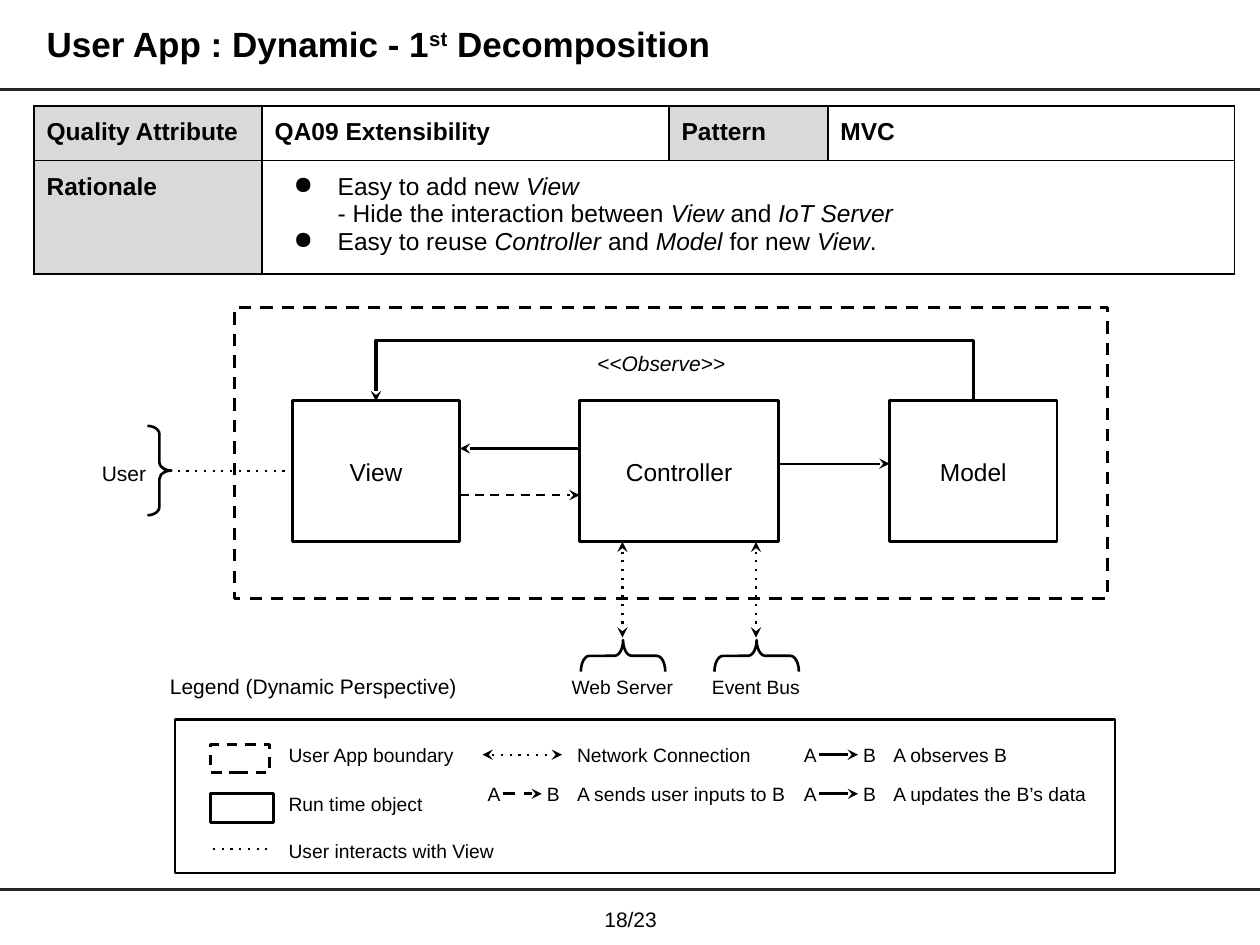
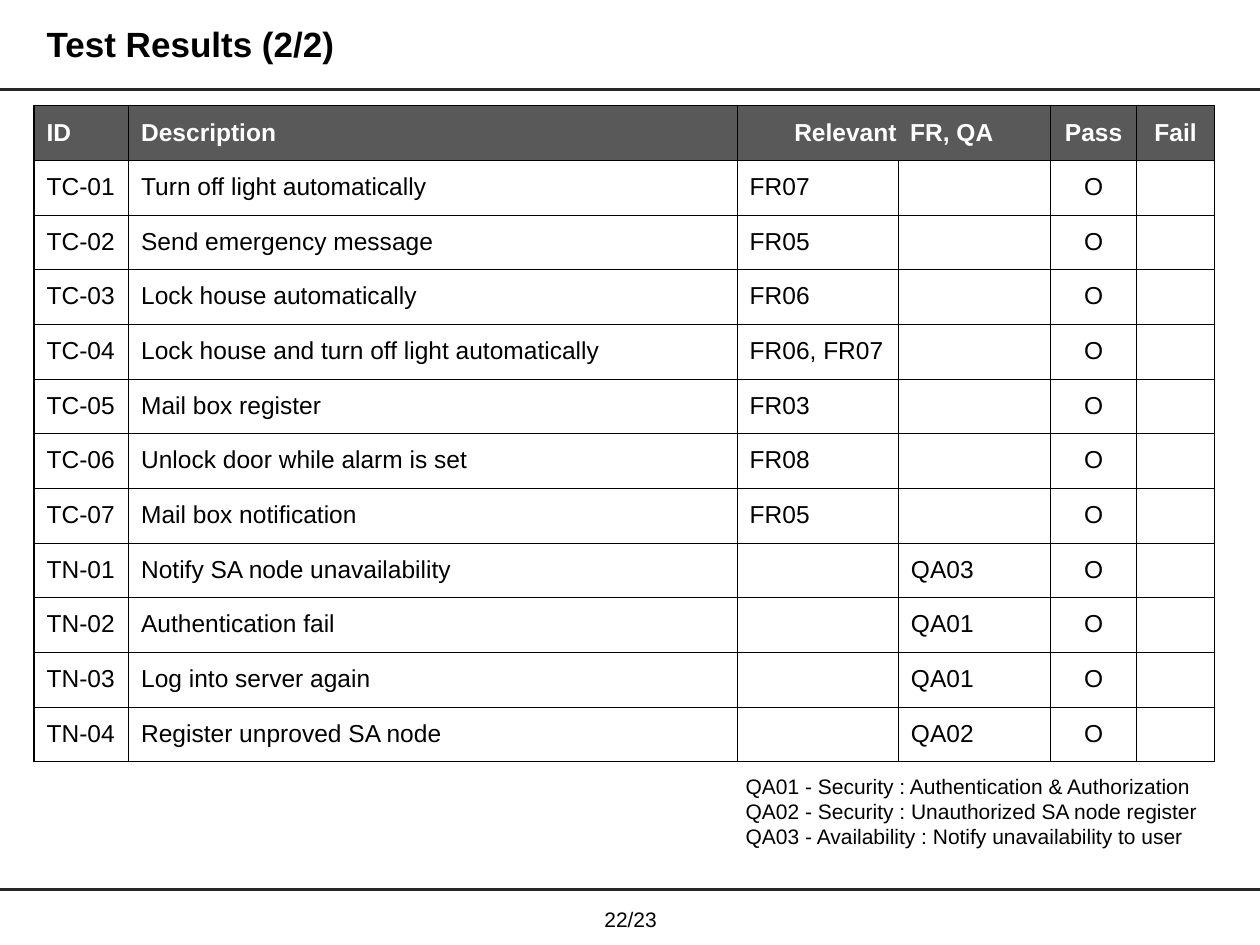
import pptx
import pptx.util
import pptx.dml.color
import pptx.enum.shapes
import pptx.enum.text
import pptx.oxml.ns
from lxml import etree

Inches = pptx.util.Inches
SHAPE = pptx.enum.shapes.MSO_SHAPE
CONNECTOR = pptx.enum.shapes.MSO_CONNECTOR
ANCHOR = pptx.enum.text.MSO_ANCHOR
ALIGN = pptx.enum.text.PP_ALIGN

COLORS = {
    "text": "000000",
    "rule": "262626",
    "paper": "FFFFFF",
    "label": "D9D9D9",
    "header": "595959",
}
FONT = "Arial"
PAGES = 23
TOP, LEFT, BOTTOM, RIGHT = range(4)


def rgb(name):
    """Return the palette colour called name."""
    return pptx.dml.color.RGBColor.from_string(COLORS[name])


def add_xml(parent, tag, **attrs):
    """Append a DrawingML child element and return it."""
    return etree.SubElement(parent, pptx.oxml.ns.qn(tag), attrs)


def style_text(tf, size, color="text", bold=False, align=ALIGN.LEFT):
    """Format every run and paragraph of a text frame."""
    for p in tf.paragraphs:
        p.alignment = align
        for r in p.runs:
            r.font.size = pptx.util.Pt(size)
            r.font.name = FONT
            r.font.bold = bold
            r.font.color.rgb = rgb(color)


def set_margins(holder, side, end):
    """Set the insets of a text frame or table cell in inches."""
    holder.margin_left = holder.margin_right = Inches(side)
    holder.margin_top = holder.margin_bottom = Inches(end)


def add_runs(p, text):
    """Write text whose *starred* parts are italic."""
    for i, part in enumerate(text.split("*")):
        if part:
            r = p.add_run()
            r.text = part
            r.font.italic = i % 2 == 1


def add_label(s, text, x, y, w, h, size=11, align=ALIGN.LEFT,
              anchor=ANCHOR.MIDDLE, margins=(0.04, 0.04)):
    """Add a text box and return it."""
    sp = s.shapes.add_textbox(Inches(x), Inches(y), Inches(w), Inches(h))
    tf = sp.text_frame
    tf.word_wrap = True
    tf.vertical_anchor = anchor
    set_margins(tf, *margins)
    tf.text = text
    style_text(tf, size, align=align)
    return sp


def style_line(line, width, color="text", dash=None, head=None, tail=None):
    """Set colour, width, dash and arrowheads of a line."""
    line.color.rgb = rgb(color)
    line.width = pptx.util.Pt(width)
    ln = line._get_or_add_ln()
    if dash:
        add_xml(ln, "a:prstDash", val=dash)
    if head:
        add_xml(ln, "a:headEnd", type=head)
    if tail:
        add_xml(ln, "a:tailEnd", type=tail)


def add_line(s, x1, y1, x2, y2, width=1.25, kind=CONNECTOR.STRAIGHT, **style):
    """Add a connector without shadow and return it."""
    c = s.shapes.add_connector(kind, Inches(x1), Inches(y1), Inches(x2), Inches(y2))
    style_line(c.line, width, **style)
    add_xml(c._element.spPr, "a:effectLst")
    return c


def add_outline(s, x, y, w, h, width=1.5, kind=SHAPE.RECTANGLE, text="",
                fill=None, dash=None):
    """Add an outlined shape with optional centred text."""
    sp = s.shapes.add_shape(kind, Inches(x), Inches(y), Inches(w), Inches(h))
    sp.shadow.inherit = False
    if fill:
        sp.fill.solid()
        sp.fill.fore_color.rgb = rgb(fill)
    else:
        sp.fill.background()
    style_line(sp.line, width, dash=dash)
    if text:
        sp.text_frame.text = text
        set_margins(sp.text_frame, 0.04, 0.04)
        style_text(sp.text_frame, 14, align=ALIGN.CENTER)
    return sp


def add_brace(s, kind, x, y, w, h, adjust):
    """Add a curly brace and return it."""
    sp = add_outline(s, x, y, w, h, kind=kind)
    sp.adjustments[0] = adjust
    return sp


def add_grid(s, x, y, widths, heights, border):
    """Add a bordered white table and return it."""
    frame = s.shapes.add_table(len(heights), len(widths), Inches(x), Inches(y),
                               Inches(sum(widths)), Inches(sum(heights)))
    table = frame.table
    table.first_row = table.horz_banding = False
    for col, w in zip(table.columns, widths):
        col.width = Inches(w)
    for row, h in zip(table.rows, heights):
        row.height = Inches(h)
    for cell in table.iter_cells():
        tcPr = cell._tc.get_or_add_tcPr()
        for side in "LRTB":
            ln = add_xml(tcPr, "a:ln" + side, w=str(pptx.util.Pt(border)))
            fill = add_xml(ln, "a:solidFill")
            add_xml(fill, "a:srgbClr", val=COLORS["text"])
        fill_cell(cell, "paper")
    return table


def fill_cell(cell, color):
    """Fill a table cell with a palette colour."""
    cell.fill.solid()
    cell.fill.fore_color.rgb = rgb(color)


def set_cell(cell, text, **style):
    """Write and format the text of a table cell."""
    cell.text = text
    set_margins(cell, 0.1, 0.1)
    style_text(cell.text_frame, 14, **style)


def new_slide(prs, title, number, superscript=None):
    """Add a slide with title, rules and page number."""
    s = prs.slides.add_slide(prs.slide_layouts[5])
    for y in (0.71, 7.06):
        add_line(s, 0, y, 10, y, width=1.75, color="rule")
    sp = s.shapes.title
    sp.left, sp.top, sp.width, sp.height = map(Inches, (0.27, 0.1, 8.52, 0.53))
    tf = sp.text_frame
    tf.vertical_anchor = ANCHOR.MIDDLE
    set_margins(tf, 0.1, 0.05)
    p = tf.paragraphs[0]
    p.line_spacing = 0.9
    before, mark, after = title.partition(superscript) if superscript else (title, "", "")
    for part in filter(None, (before, mark, after)):
        r = p.add_run()
        r.text = part
        if part == mark:
            r._r.get_or_add_rPr().set("baseline", "30000")
    style_text(tf, 20, bold=True)
    add_label(s, f"{number}/{PAGES}", 4.62, 7.14, 0.77, 0.31, size=12,
              align=ALIGN.CENTER, margins=(0.1, 0.05))
    return s


def rationale_table(s, x, y):
    """Place the quality attribute table."""
    table = add_grid(s, x, y, [1.81, 3.23, 1.26, 3.23], [0.42, 0.86], border=1)
    headings = ["Quality Attribute", "QA09 Extensibility", "Pattern", "MVC"]
    for i, text in enumerate(headings):
        set_cell(table.cell(0, i), text, bold=True)
    set_cell(table.cell(1, 0), "Rationale", bold=True)
    for row, col in ((0, 0), (0, 2), (1, 0)):
        fill_cell(table.cell(row, col), "label")

    cell = table.cell(1, 1)
    cell.merge(table.cell(1, 3))
    set_margins(cell, 0.1, 0.1)
    tf = cell.text_frame
    reasons = [
        (True, "Easy to add new *View*"),
        (False, "- Hide the interaction between *View *and *IoT Server*"),
        (True, "Easy to reuse *Controller *and *Model *for new *View*."),
    ]
    for i, (bullet, text) in enumerate(reasons):
        p = tf.add_paragraph() if i else tf.paragraphs[0]
        add_runs(p, text)
        pPr = p._p.get_or_add_pPr()
        pPr.set("marL", str(Inches(0.5)))
        pPr.set("indent", str(Inches(-0.35 if bullet else 0)))
        if bullet:
            color = add_xml(pPr, "a:buClr")
            add_xml(color, "a:srgbClr", val=COLORS["text"])
            add_xml(pPr, "a:buChar", char="●")
    style_text(tf, 14)


def observe_arrow(s, view, model, rise):
    """Lead an elbow arrow over the top from view to model."""
    x1 = view.left + view.width // 2
    x2 = model.left + model.width // 2
    c = add_line(s, 0, 0, 1, 1, width=2, kind=CONNECTOR.ELBOW, tail="stealth")
    c.begin_connect(view, TOP)
    c.end_connect(model, TOP)
    depth = Inches(0.01)
    c.width, c.height = depth, x2 - x1
    c.left = (x1 + x2 - depth) // 2
    c.top = view.top - (x2 - x1) // 2
    xfrm = c._element.spPr.find(pptx.oxml.ns.qn("a:xfrm"))
    xfrm.set("rot", "16200000")
    xfrm.set("flipH", "1")
    geom = c._element.spPr.find(pptx.oxml.ns.qn("a:prstGeom"))
    guides = geom.find(pptx.oxml.ns.qn("a:avLst"))
    ratio = round(-Inches(rise) / depth * 100000)
    add_xml(guides, "a:gd", name="adj1", fmla=f"val {ratio}")


def mvc_diagram(s, x, y):
    """Place the view, controller and model with their links."""
    add_label(s, "User", x, y + 1.1, 1.1, 0.51, size=12, align=ALIGN.RIGHT)
    add_label(s, "", x + 4.54, y + 0.33, 1.38, 0.43, anchor=ANCHOR.TOP,
              margins=(0.1, 0.05))
    tf = s.shapes[-1].text_frame
    add_runs(tf.paragraphs[0], "*<<Observe>>*")
    style_text(tf, 12)
    add_outline(s, x + 1.76, y + 0.04, 6.93, 2.31, width=1.75, dash="dash")

    view, _, model = [
        add_outline(s, x + dx, y + 0.78, w, 1.12, text=name, fill="paper")
        for name, dx, w in (("View", 2.22, 1.33), ("Controller", 4.5, 1.58),
                            ("Model", 6.96, 1.33))
    ]
    for x1, x2, dy, dash in ((3.55, 4.5, 1.53, "dash"), (4.5, 3.55, 1.16, None),
                             (6.08, 6.96, 1.28, None)):
        add_line(s, x + x1, y + dy, x + x2, y + dy, dash=dash, tail="stealth")
    observe_arrow(s, view, model, rise=0.48)

    add_brace(s, SHAPE.RIGHT_BRACE, x + 1.07, y + 0.98, 0.19, 0.71, 0.35)
    c = add_line(s, x + 1.31, y + 1.34, x + 2.22, y + 1.34, dash="dot")
    c.end_connect(view, LEFT)

    for name, dx in (("Web Server", 4.84), ("Event Bus", 5.9)):
        mid = x + dx
        add_line(s, mid, y + 1.9, mid, y + 2.66, dash="dot",
                 head="stealth", tail="stealth")
        brace = add_brace(s, SHAPE.LEFT_BRACE, mid - 0.12, y + 2.47, 0.25, 0.67, 0.27)
        brace.rotation = 90
        add_label(s, name, mid - 0.5, y + 2.8, 1, 0.5, align=ALIGN.CENTER)


def legend_pair(s, x, mid, width, dash=None):
    """Draw an arrow from the letter A to the letter B."""
    a, b = [add_label(s, letter, x + dx, mid - 0.2, 0.16, 0.4, align=ALIGN.CENTER)
            for letter, dx in (("A", 0), ("B", 0.47))]
    c = add_line(s, x + 0.16, mid, x + 0.47, mid, width=width, dash=dash, tail="stealth")
    c.begin_connect(a, RIGHT)
    c.end_connect(b, LEFT)


def legend(s, x, y):
    """Place the legend caption, frame and keys."""
    add_label(s, "Legend (Dynamic Perspective)", x, y, 3.31, 0.39, size=12,
              anchor=ANCHOR.TOP, margins=(0.1, 0.05))
    add_outline(s, x + 0.14, y + 0.41, 7.46, 1.22, fill="paper")
    add_outline(s, x + 0.42, y + 0.61, 0.47, 0.22, dash="dash")
    add_outline(s, x + 0.42, y + 1, 0.5, 0.23)
    add_line(s, x + 0.44, y + 1.44, x + 0.91, y + 1.44, dash="dot")
    add_line(s, x + 2.58, y + 0.69, x + 3.21, y + 0.69, dash="dot",
             head="stealth", tail="stealth")
    legend_pair(s, x + 2.58, y + 1, 1.75, "dash")
    legend_pair(s, x + 5.09, y + 0.69, 2)
    legend_pair(s, x + 5.09, y + 1, 1.75)
    columns = [
        (1, [("User App boundary", 0.69), ("Run time object", 1.08),
             ("User interacts with View", 1.45)]),
        (3.29, [("Network Connection", 0.69), ("A sends user inputs to B", 1)]),
        (5.8, [("A observes B", 0.69), ("A updates the B’s data", 1)]),
    ]
    for dx, keys in columns:
        for text, mid in keys:
            add_label(s, text, x + dx, y + mid - 0.14, 1.8, 0.28)


def results_table(s, x, y):
    """Place the table of test cases."""
    tests = [
        ("TC-01", "Turn off light automatically", "FR07", ""),
        ("TC-02", "Send emergency message", "FR05", ""),
        ("TC-03", "Lock house automatically", "FR06", ""),
        ("TC-04", "Lock house and turn off light automatically", "FR06, FR07", ""),
        ("TC-05", "Mail box register", "FR03", ""),
        ("TC-06", "Unlock door while alarm is set", "FR08", ""),
        ("TC-07", "Mail box notification", "FR05", ""),
        ("TN-01", "Notify SA node unavailability", "", "QA03"),
        ("TN-02", "Authentication fail", "", "QA01"),
        ("TN-03", "Log into server again", "", "QA01"),
        ("TN-04", "Register unproved SA node", "", "QA02"),
    ]
    widths = [0.75, 4.83, 1.28, 1.21, 0.68, 0.62]
    table = add_grid(s, x, y, widths, [0.42] * (len(tests) + 1), border=0.75)
    table.cell(0, 2).merge(table.cell(0, 3))
    header = ["ID", "Description", "Relevant  FR, QA", "", "Pass", "Fail"]
    for i, text in enumerate(header):
        cell = table.cell(0, i)
        fill_cell(cell, "header")
        if text:
            cell.vertical_anchor = ANCHOR.MIDDLE
            set_cell(cell, text, color="paper", bold=True,
                     align=ALIGN.CENTER if i > 1 else ALIGN.LEFT)
    for row, test in enumerate(tests, 1):
        for i, text in enumerate(test + ("O",)):
            if text:
                set_cell(table.cell(row, i), text,
                         align=ALIGN.CENTER if i == 4 else ALIGN.LEFT)


def quality_notes(s, x, y):
    """Place the key to the quality attributes."""
    notes = ["QA01 - Security : Authentication & Authorization",
             "QA02 - Security : Unauthorized SA node register",
             "QA03 - Availability : Notify unavailability to user"]
    add_label(s, "\n".join(notes), x, y, 3.86, 0.87, size=12,
              anchor=ANCHOR.TOP, margins=(0.1, 0.1))


def main():
    """Build and save the slides."""
    prs = pptx.Presentation()
    prs.slide_width, prs.slide_height = Inches(10), Inches(7.5)

    s = new_slide(prs, "User App : Dynamic - 1st Decomposition", 18, superscript="st")
    rationale_table(s, 0.27, 0.84)
    mvc_diagram(s, 0.1, 2.4)
    legend(s, 1.25, 5.3)

    s = new_slide(prs, "Test Results (2/2)", 22)
    results_table(s, 0.27, 0.84)
    quality_notes(s, 5.82, 6.04)

    prs.save("out.pptx")


if __name__ == "__main__":
    main()
